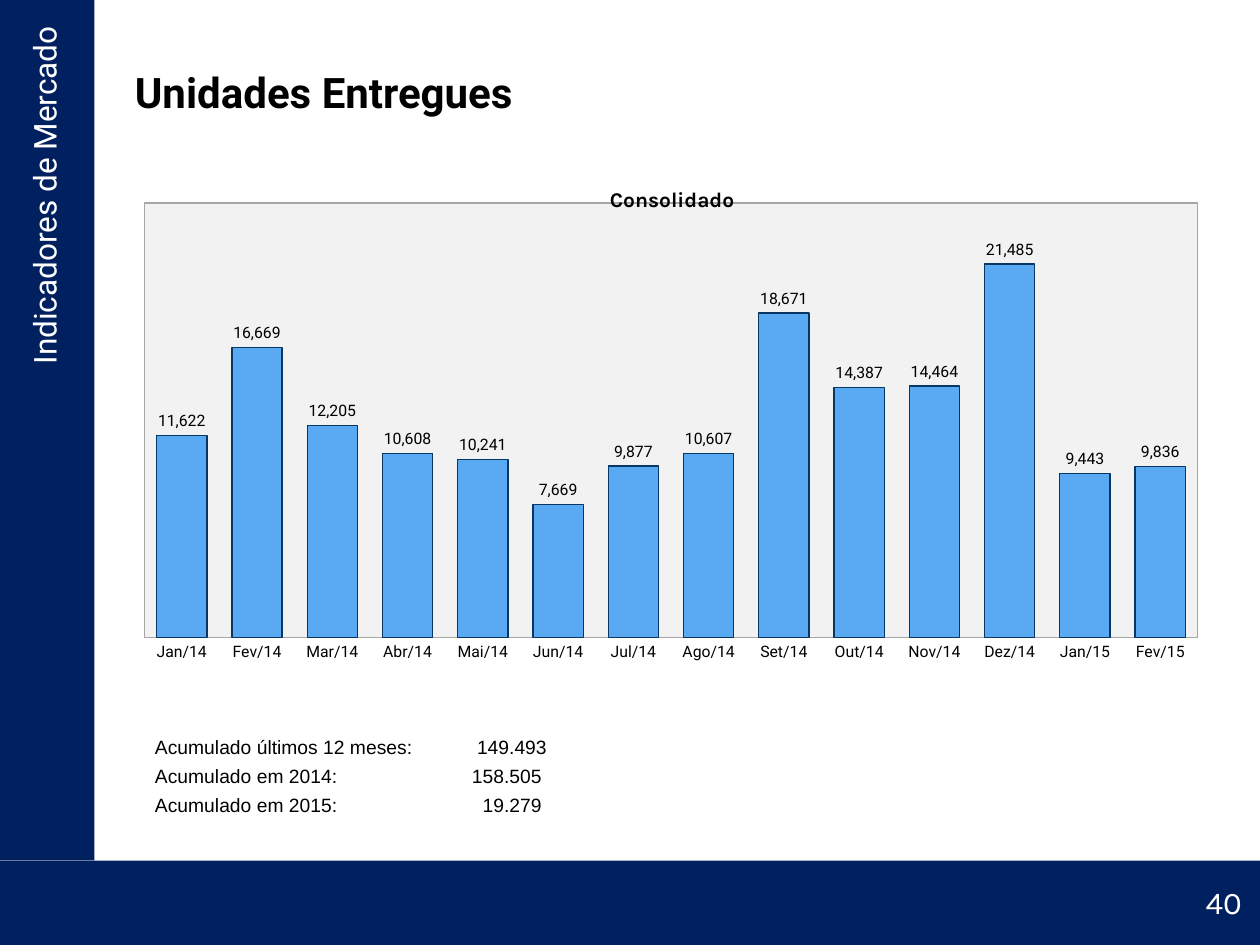
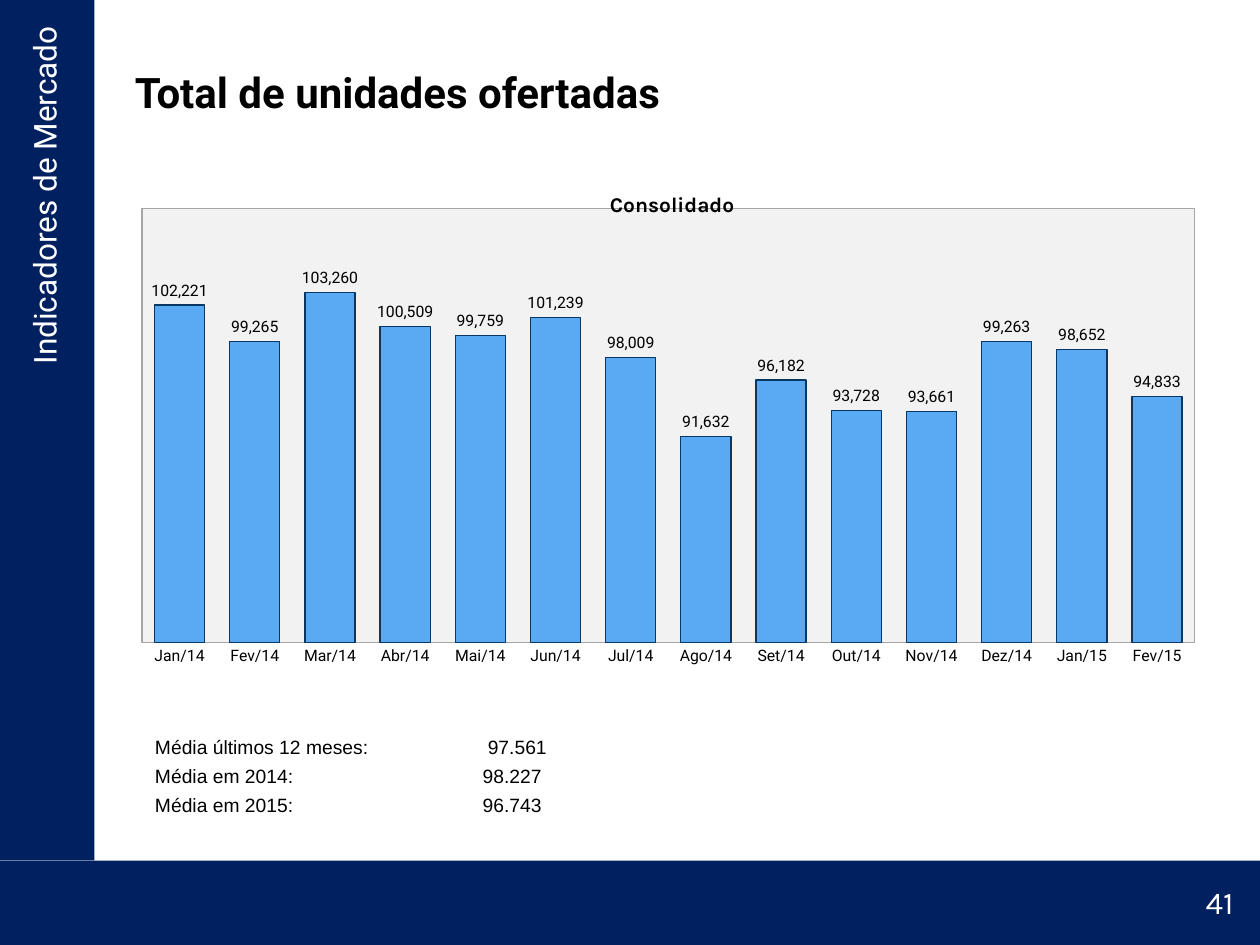
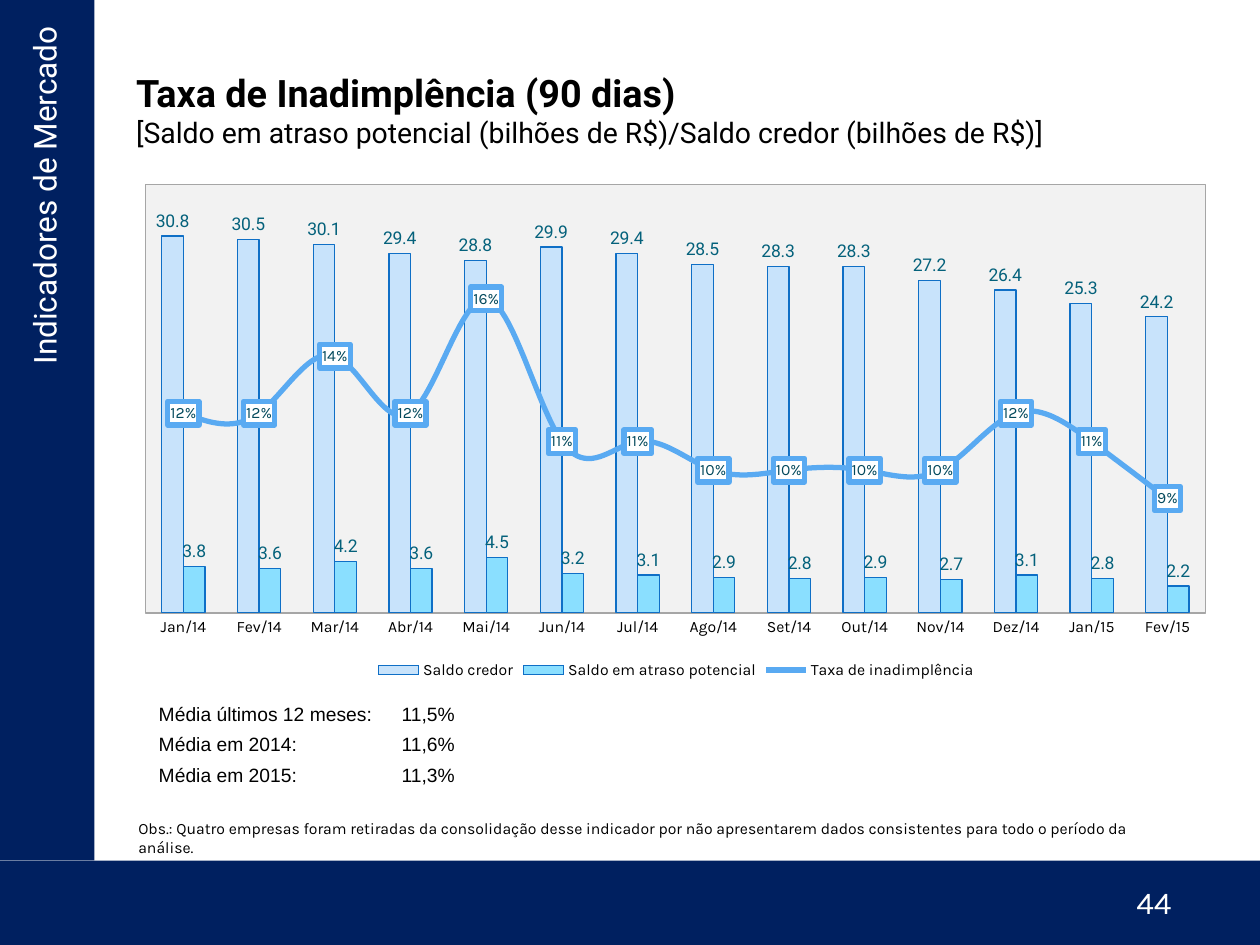
"""Builds three market indicator slides with monthly charts and summary tables."""
from pptx import Presentation
from pptx.chart.data import CategoryChartData
from pptx.dml.color import RGBColor
from pptx.enum.chart import (XL_CHART_TYPE, XL_LABEL_POSITION, XL_LEGEND_POSITION,
                             XL_MARKER_STYLE, XL_TICK_LABEL_POSITION, XL_TICK_MARK)
from pptx.enum.shapes import MSO_SHAPE
from pptx.enum.text import MSO_ANCHOR, MSO_AUTO_SIZE, PP_ALIGN
from pptx.oxml import parse_xml
from pptx.oxml.ns import nsdecls, qn
from pptx.util import Inches, Pt

LEFT, RIGHT = PP_ALIGN.LEFT, PP_ALIGN.RIGHT
TOP, MIDDLE, BOTTOM = MSO_ANCHOR.TOP, MSO_ANCHOR.MIDDLE, MSO_ANCHOR.BOTTOM
RECTANGLE = MSO_SHAPE.RECTANGLE
NO_AUTOFIT = MSO_AUTO_SIZE.NONE
COLUMNS = XL_CHART_TYPE.COLUMN_CLUSTERED
ABOVE, CENTER = XL_LABEL_POSITION.OUTSIDE_END, XL_LABEL_POSITION.CENTER
LEGEND_BOTTOM = XL_LEGEND_POSITION.BOTTOM
NO_MARKER = XL_MARKER_STYLE.NONE
NO_TICK_LABELS = XL_TICK_LABEL_POSITION.NONE
NO_TICKS = XL_TICK_MARK.NONE

COLORS = {
    "navy": "002060", "white": "FFFFFF", "black": "000000", "plot": "F2F2F2",
    "gray": "A6A6A6", "bar": "59AAF2", "bar_line": "083763", "credit": "C8E3FB",
    "overdue": "8ADFFF", "balance_line": "0F6FC6", "teal": "04617B", "rate_text": "03495C",
}
MONTHS = ["Jan/14", "Fev/14", "Mar/14", "Abr/14", "Mai/14", "Jun/14", "Jul/14",
          "Ago/14", "Set/14", "Out/14", "Nov/14", "Dez/14", "Jan/15", "Fev/15"]

DELIVERED = [11622, 16669, 12205, 10608, 10241, 7669, 9877,
             10607, 18671, 14387, 14464, 21485, 9443, 9836]
OFFERED = [102221, 99265, 103260, 100509, 99759, 101239, 98009,
           91632, 96182, 93728, 93661, 99263, 98652, 94833]
CREDIT = [30.8, 30.5, 30.1, 29.4, 28.8, 29.9, 29.4, 28.5, 28.3, 28.3, 27.2, 26.4, 25.3, 24.2]
OVERDUE = [3.8, 3.6, 4.2, 3.6, 4.5, 3.2, 3.1, 2.9, 2.8, 2.9, 2.7, 3.1, 2.8, 2.2]
RATE = [0.12, 0.12, 0.14, 0.12, 0.16, 0.11, 0.11, 0.1, 0.1, 0.1, 0.1, 0.12, 0.11, 0.09]


def rgb(name):
    """Return a named colour."""
    return RGBColor.from_string(COLORS[name])


def inches(place):
    """Turn a tuple of numbers into lengths."""
    return [Inches(number) for number in place]


def set_font(font, size, name, color="black", bold=False):
    """Format a font."""
    for key, value in {"size": Pt(size), "name": name, "bold": bold}.items():
        setattr(font, key, value)
    font.color.rgb = rgb(color)


def set_line(line, color, width):
    """Format an outline."""
    line.color.rgb = rgb(color)
    line.width = Pt(width)


def box_format(fill, line, width):
    """Return chart shape properties with a fill and an outline."""
    return parse_xml(
        f'<c:spPr {nsdecls("c", "a")}>'
        f'<a:solidFill><a:srgbClr val="{COLORS[fill]}"/></a:solidFill>'
        f'<a:ln w="{Pt(width)}"><a:solidFill><a:srgbClr val="{COLORS[line]}"/></a:solidFill></a:ln>'
        '</c:spPr>')


def manual_layout(x, y, size=None):
    """Return a chart layout at fractions of the chart area."""
    target = '<c:layoutTarget val="inner"/>' if size else ""
    extent = f'<c:w val="{size[0]}"/><c:h val="{size[1]}"/>' if size else ""
    return parse_xml(
        f'<c:layout {nsdecls("c")}><c:manualLayout>{target}'
        '<c:xMode val="edge"/><c:yMode val="edge"/>'
        f'<c:x val="{x}"/><c:y val="{y}"/>{extent}</c:manualLayout></c:layout>')


class IndicatorDeck:
    """Holds the deck style and the current slide."""

    def __init__(self):
        """Start an empty deck."""
        self.deck = Presentation()
        self.deck.slide_width, self.deck.slide_height = Inches(10), Inches(7.5)
        self.page = None

    def add_page(self, number, title_lines, title_place, number_place):
        """Add a slide with bands, side label, title and page number."""
        self.page = self.deck.slides.add_slide(self.deck.slide_layouts[5])
        self.band((0, 6.83, 10, 0.67))
        self.band((0, 0, 0.75, 6.83))
        label = self.text("Indicadores de Mercado", (-2.55, 2.81, 5.8, 0.4),
                          18, "Roboto", "white", RIGHT)
        label.rotation = 270
        self.title(title_lines, title_place)
        self.text(number, number_place, 18, "Karla", "white")

    def band(self, place):
        """Add a navy band."""
        band = self.page.shapes.add_shape(RECTANGLE, *inches(place))
        band.shadow.inherit = False
        band.fill.solid()
        band.fill.fore_color.rgb = rgb("navy")
        band.line.fill.background()

    def text(self, words, place, size, font, color="black", align=LEFT):
        """Add a wrapped text box."""
        box = self.page.shapes.add_textbox(*inches(place))
        box.text_frame.word_wrap = True
        para = box.text_frame.paragraphs[0]
        para.alignment = align
        span = para.add_run()
        span.text = words
        set_font(span.font, size, font, color)
        return box

    def title(self, lines, place):
        """Place the title and fill it with (words, size, bold) lines."""
        title = self.page.shapes.title
        title.left, title.top, title.width, title.height = inches(place)
        frame = title.text_frame
        for key, value in {"word_wrap": True, "auto_size": NO_AUTOFIT,
                           "vertical_anchor": MIDDLE}.items():
            setattr(frame, key, value)
        para = frame.paragraphs[0]
        para.alignment = LEFT
        for index, (words, size, bold) in enumerate(lines):
            if index:
                para.add_line_break()
            span = para.add_run()
            span.text = words
            set_font(span.font, size, "Roboto", bold=bold)

    def table(self, rows, place, widths, later_inset=0.01):
        """Add a summary table; later_inset pads the values below the first row."""
        frame = self.page.shapes.add_table(len(rows), 2, *inches(place))
        table = frame.table
        table.first_row = table.horz_banding = False
        for column, width in zip(table.columns, widths):
            column.width = Inches(width)
        for row, entries in enumerate(rows):
            for column, words in enumerate(entries):
                inset = later_inset if row and column else 0.01
                self.cell(table.cell(row, column), words, RIGHT if column else LEFT, inset)

    def cell(self, cell, words, align, right_inset):
        """Fill one table cell."""
        for key, value in {"vertical_anchor": BOTTOM, "margin_left": Inches(0.01),
                           "margin_right": Inches(right_inset), "margin_top": Inches(0.01),
                           "margin_bottom": 0, "text": words}.items():
            setattr(cell, key, value)
        para = cell.text_frame.paragraphs[0]
        para.alignment = align
        set_font(para.runs[0].font, 11, "Arial")
        properties = cell._tc.get_or_add_tcPr()
        for side in ("lnL", "lnR", "lnT", "lnB"):
            properties.append(parse_xml(
                f'<a:{side} {nsdecls("a")} w="{Pt(1)}"><a:solidFill>'
                f'<a:srgbClr val="{COLORS["white"]}"/></a:solidFill></a:{side}>'))
        cell.fill.background()

    def chart(self, series, place, plot_place, limits, gap, axis_font):
        """Add a column chart over the months with a shaded plot area."""
        data = CategoryChartData()
        data.categories = MONTHS
        for name, values in series:
            data.add_series(name, values)
        chart = self.page.shapes.add_chart(COLUMNS, *inches(place), data).chart
        set_font(chart.font, 10, "Karla")
        chart.has_title = chart.has_legend = False
        months, scale = chart.category_axis, chart.value_axis
        months.major_tick_mark = NO_TICKS
        set_font(months.tick_labels.font, 9, axis_font)
        set_line(months.format.line, "gray", 0.75)
        scale.minimum_scale, scale.maximum_scale = limits
        scale.has_major_gridlines = False
        plot = chart.plots[0]
        plot.gap_width, plot.overlap, plot.vary_by_categories = gap, 0, False
        area = plot._element.getparent()
        for layout in area.findall(qn("c:layout")):
            area.remove(layout)
        area.insert(0, manual_layout(*plot_place[:2], plot_place[2:]))
        area.append(box_format("plot", "gray", 0.75))
        return chart

    def labels(self, series, number_format, position, size, font, color="black"):
        """Show the values of a series."""
        labels = series.data_labels
        for key, value in {"show_value": True, "number_format": number_format,
                           "number_format_is_linked": False, "position": position}.items():
            setattr(labels, key, value)
        set_font(labels.font, size, font, color)
        return labels

    def columns(self, series, fill, line):
        """Colour the columns of a series."""
        series.invert_if_negative = False
        series.format.fill.solid()
        series.format.fill.fore_color.rgb = rgb(fill)
        set_line(series.format.line, line, 0.75)

    def units_chart(self, values, place, plot_place, limits):
        """Add a titled chart of unit counts."""
        chart = self.chart([("Series 1", values)], place, plot_place, limits, 50, "Roboto")
        chart.value_axis.visible = False
        chart.has_title = True
        para = chart.chart_title.text_frame.paragraphs[0]
        span = para.add_run()
        span.text = "Consolidado"
        set_font(span.font, 12, "Karla", bold=True)
        heading = chart.chart_title._element
        heading.replace(heading.find(qn("c:layout")), manual_layout(0.44, 0.04))
        units = chart.plots[0].series[0]
        self.columns(units, "bar", "bar_line")
        self.labels(units, "#,##0", ABOVE, 9, "Roboto")

    def rate_chart(self, place, plot_place):
        """Add the balances as columns and the default rate as a line."""
        chart = self.chart([("Saldo credor", CREDIT), ("Saldo em atraso potencial", OVERDUE),
                            ("Taxa de inadimplência", RATE)],
                           place, plot_place, (0, 35), 150, "Karla")
        scale = chart.value_axis
        scale.tick_label_position = NO_TICK_LABELS
        scale.major_tick_mark = NO_TICKS
        scale.format.line.fill.background()
        chart.has_legend = True
        chart.legend.position = LEGEND_BOTTOM
        chart.legend.include_in_layout = False
        set_font(chart.legend.font, 9, "Karla")
        self.move_to_line(chart, 2, (0.05, 0.2))
        for balance, fill in zip(chart.plots[0].series, ("credit", "overdue")):
            self.columns(balance, fill, "balance_line")
            self.labels(balance, "#,##0.0", ABOVE, 10, "Roboto", "teal")
        rate = chart.plots[1].series[0]
        rate.smooth = True
        rate.marker.style = NO_MARKER
        set_line(rate.format.line, "bar", 3)
        labels = self.labels(rate, "0%", CENTER, 9, "Karla", "rate_text")
        labels._element.find(qn("c:numFmt")).addnext(box_format("white", "bar", 3))

    def move_to_line(self, chart, index, limits):
        """Move one series to a line plot on a hidden right axis."""
        columns = chart.plots[0]._element
        series = columns.findall(qn("c:ser"))[index]
        for flag in series.findall(qn("c:invertIfNegative")):
            series.remove(flag)
        line_plot = parse_xml(
            f'<c:lineChart {nsdecls("c")}><c:grouping val="standard"/><c:varyColors val="0"/>'
            '<c:marker val="1"/><c:axId val="50001"/><c:axId val="50002"/></c:lineChart>')
        line_plot.insert(2, series)
        columns.addnext(line_plot)
        months = parse_xml(
            f'<c:catAx {nsdecls("c")}><c:axId val="50001"/>'
            '<c:scaling><c:orientation val="minMax"/></c:scaling><c:delete val="1"/>'
            '<c:axPos val="b"/><c:crossAx val="50002"/><c:crosses val="autoZero"/></c:catAx>')
        scale = parse_xml(
            f'<c:valAx {nsdecls("c", "a")}><c:axId val="50002"/>'
            '<c:scaling><c:orientation val="minMax"/>'
            f'<c:max val="{limits[1]}"/><c:min val="{limits[0]}"/></c:scaling>'
            '<c:delete val="0"/><c:axPos val="r"/><c:numFmt formatCode="0%" sourceLinked="0"/>'
            '<c:majorTickMark val="none"/><c:minorTickMark val="none"/>'
            '<c:tickLblPos val="none"/><c:spPr><a:ln><a:noFill/></a:ln></c:spPr>'
            '<c:crossAx val="50001"/><c:crosses val="max"/></c:valAx>')
        left_scale = chart.value_axis._element
        left_scale.addnext(months)
        months.addnext(scale)


def main():
    """Build and save the deck."""
    book = IndicatorDeck()
    title_place, number_place = (0.97, 0.29, 8.5, 0.87), (9.47, 6.96, 0.53, 0.54)
    unit_pages = [
        ("40", "Unidades Entregues", DELIVERED, (0.97, 1.27, 8.73, 4.15),
         (0.02, 0.082, 0.958, 0.832), (0, 25000), "Acumulado",
         ("149.493", "158.505", "19.279")),
        ("41", "Total de unidades ofertadas", OFFERED, (0.97, 1.32, 8.73, 4.06),
         (0.018, 0.083, 0.957, 0.848), (75000, 110000), "Média",
         ("97.561", "98.227", "96.743")),
    ]
    periods = ("últimos 12 meses:", "em 2014:", "em 2015:")

    for number, title, values, place, plot_place, limits, measure, totals in unit_pages:
        book.add_page(number, [(title, 24, True)], title_place, number_place)
        book.units_chart(values, place, plot_place, limits)
        rows = [(f"{measure} {period}", total) for period, total in zip(periods, totals)]
        book.table(rows, (1.22, 5.79, 3.13, 0.69), (2.31, 0.82), later_inset=0.05)

    book.add_page("44", [("Taxa de Inadimplência (90 dias)", 21.6, True),
                         ("[Saldo em atraso potencial (bilhões de R$)/Saldo credor "
                          "(bilhões de R$)]", 16.2, False)],
                  (0.98, 0.52, 8.5, 0.69), (8.92, 6.96, 0.92, 0.4))
    book.text("Obs.: Quatro empresas foram retiradas da consolidação desse indicador por não "
              "apresentarem dados consistentes para todo o período da análise.",
              (1, 6.45, 8.5, 0.25), 9, "Karla")
    rows = [(f"Média {period}", rate) for period, rate in zip(periods, ("11,5%", "11,6%", "11,3%"))]
    book.table(rows, (1.25, 5.52, 2.37, 0.72), (1.82, 0.55))
    book.rate_chart((0.98, 1.39, 8.77, 4.04), (0.02, 0.019, 0.959, 0.841))

    book.deck.save("out.pptx")


if __name__ == "__main__":
    main()
